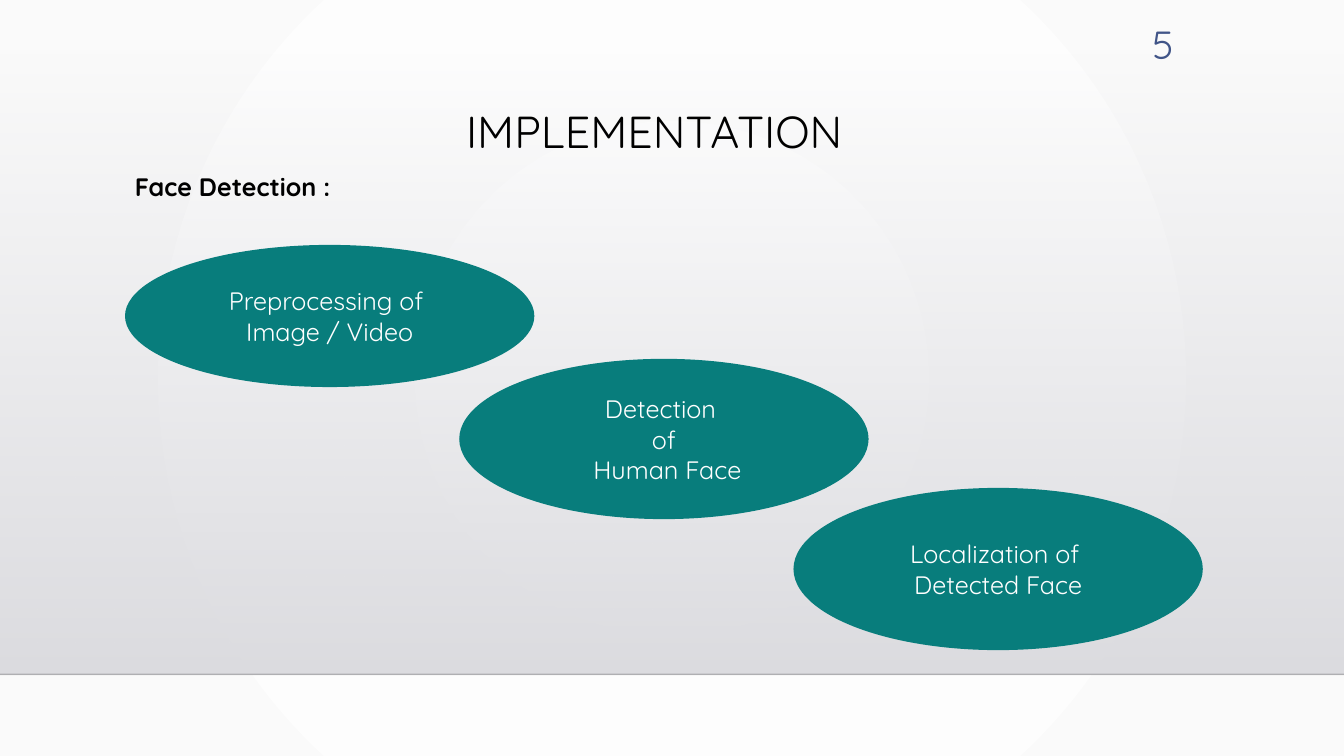
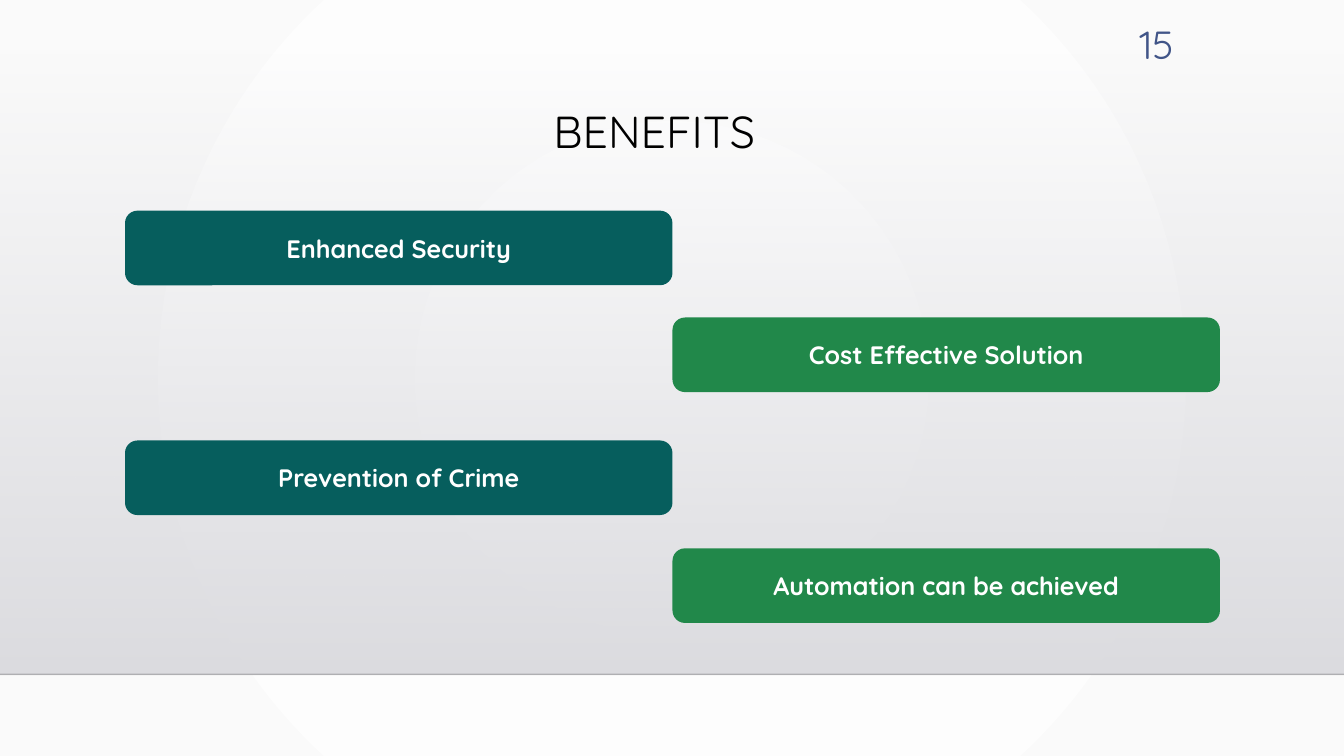
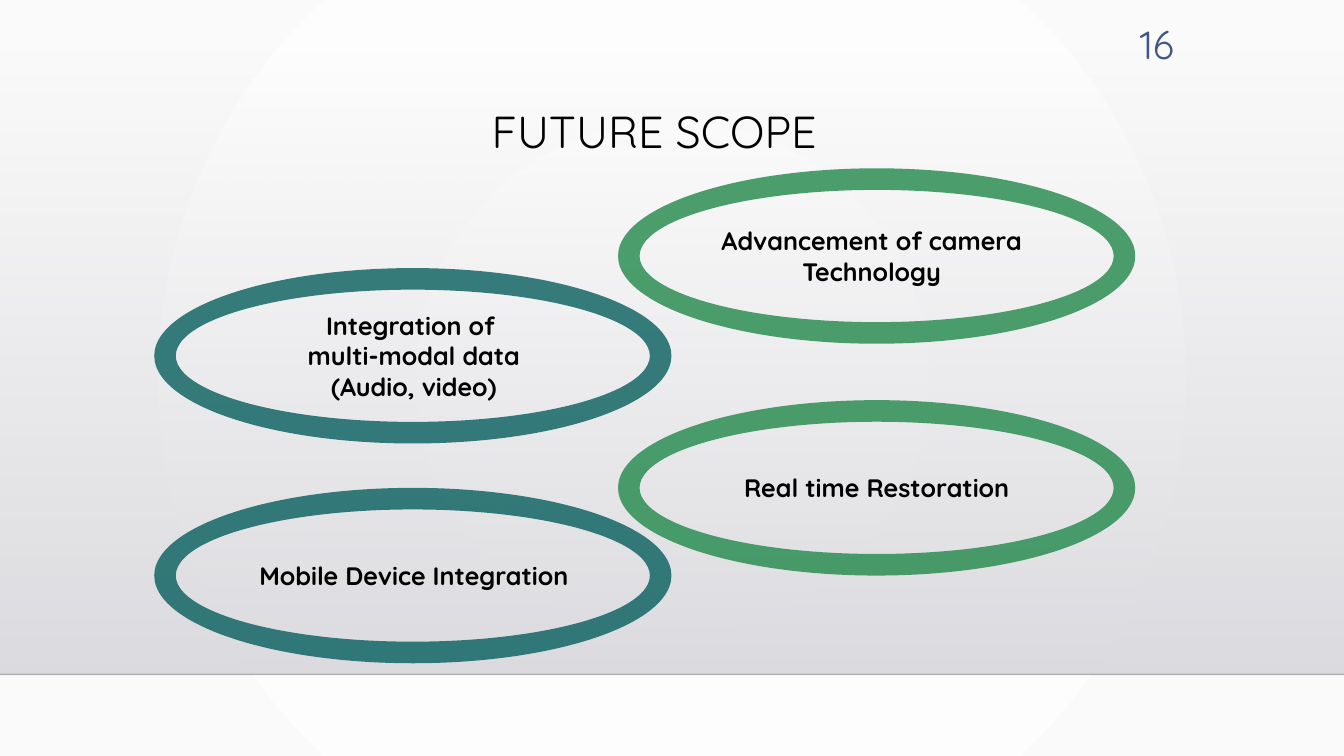
import dataclasses

import lxml.etree
import pptx
import pptx.dml.color
import pptx.enum.shapes
import pptx.enum.text
import pptx.oxml.ns
import pptx.presentation
import pptx.shapes.autoshape
import pptx.slide
import pptx.text.text
import pptx.util

Inches = pptx.util.Inches
RGBColor = pptx.dml.color.RGBColor
Kind = pptx.enum.shapes.MSO_SHAPE
Align = pptx.enum.text.PP_ALIGN
qn = pptx.oxml.ns.qn

FONT = "Quicksand"
BLACK = RGBColor(0x00, 0x00, 0x00)
WHITE = RGBColor(0xFF, 0xFF, 0xFF)
PALE = RGBColor(0xFA, 0xFA, 0xFA)
MIST = RGBColor(0xDC, 0xDC, 0xE0)
SILVER = RGBColor(0xDE, 0xDE, 0xE2)
NAVY = RGBColor(0x41, 0x55, 0x88)
TEAL = RGBColor(0x08, 0x7D, 0x7C)
DEEP = RGBColor(0x06, 0x5E, 0x5D)
GREEN = RGBColor(0x21, 0x88, 0x4A)

WIDTH = 13.33
HEIGHT = 7.5
MARGIN = 1.24
FLOOR = 6.69


@dataclasses.dataclass
class Box:
    left: float
    top: float
    width: float
    height: float

    def place(self) -> tuple:
        return tuple(Inches(n) for n in (self.left, self.top, self.width, self.height))


@dataclasses.dataclass
class Step:
    text: str
    top: float
    height: float


@dataclasses.dataclass
class Bar:
    text: str
    top: float


@dataclasses.dataclass
class Ring:
    box: Box
    color: RGBColor
    text: str
    label: Box


def write(frame: pptx.text.text.TextFrame, text: str, *, size: int = 18,
          color: RGBColor = BLACK, bold: bool = False,
          align: Align = Align.CENTER, space: float = 1.0) -> None:
    frame.word_wrap = True
    for index, line in enumerate(text.split("\n")):
        para = frame.add_paragraph() if index else frame.paragraphs[0]
        para.alignment = align
        para.line_spacing = space
        run = para.add_run()
        run.text = line
        run.font.name = FONT
        run.font.size = pptx.util.Pt(size)
        run.font.bold = bold
        run.font.color.rgb = color


def label(slide: pptx.slide.Slide, box: Box, text: str, **style) -> None:
    write(slide.shapes.add_textbox(*box.place()).text_frame, text, **style)


def draw(slide: pptx.slide.Slide, kind: Kind, box: Box,
         color: RGBColor) -> pptx.shapes.autoshape.Shape:
    shape = slide.shapes.add_shape(kind, *box.place())
    shape.shadow.inherit = False
    shape.fill.solid()
    shape.fill.fore_color.rgb = color
    shape.line.fill.background()
    return shape


def fade(node: lxml.etree.ElementBase, percent: int) -> None:
    color = next(node.iter(qn("a:srgbClr")))
    lxml.etree.SubElement(color, qn("a:alpha")).set("val", str(percent * 1000))


def paint(deck: pptx.presentation.Presentation) -> None:
    fill = deck.slide_master.background.fill
    fill.gradient()
    for stop, color in zip(fill.gradient_stops, (WHITE, PALE)):
        stop.color.rgb = color
    line = next(deck.slide_master.element.iter(qn("a:lin")))
    radial = lxml.etree.Element(qn("a:path"), {"path": "circle"})
    lxml.etree.SubElement(radial, qn("a:fillToRect"), dict.fromkeys("ltrb", "50000"))
    line.getparent().replace(line, radial)


def start(deck: pptx.presentation.Presentation, title: str, page: int,
          height: float = 1.15) -> pptx.slide.Slide:
    slide = deck.slides.add_slide(deck.slide_layouts[6])
    band = draw(slide, Kind.RECTANGLE, Box(0, 0.51, WIDTH, FLOOR - 0.51), SILVER)
    band.fill.gradient()
    band.fill.gradient_angle = 270
    for stop, color in zip(band.fill.gradient_stops, (MIST, SILVER)):
        stop.color.rgb = color
    fade(band.element.spPr, 0)

    edge = slide.shapes.add_connector(
        pptx.enum.shapes.MSO_CONNECTOR.STRAIGHT,
        Inches(0), Inches(FLOOR), Inches(WIDTH), Inches(FLOOR))
    edge.line.width = pptx.util.Pt(1)
    edge.line.color.rgb = BLACK
    fade(edge.element.spPr, 20)
    lxml.etree.SubElement(edge.element.spPr, qn("a:effectLst"))

    label(slide, Box(MARGIN, 1.04, 10.5, height), title, size=32, space=0.9)
    label(slide, Box(10.85, 0.15, 0.89, 0.55), str(page),
          size=28, color=NAVY, align=Align.RIGHT)
    return slide


def show_steps(deck: pptx.presentation.Presentation) -> None:
    slide = start(deck, "IMPLEMENTATION", 5, height=0.6)
    label(slide, Box(MARGIN, 1.65, 10.41, 0.4), "Face Detection :",
          bold=True, align=Align.LEFT)
    steps = [
        Step("Preprocessing of \nImage / Video", 2.43, 1.41),
        Step("Detection \nof\n Human Face", 3.56, 1.59),
        Step("Localization of \nDetected Face", 4.84, 1.61),
    ]
    for index, step in enumerate(steps):
        box = Box(MARGIN + 3.315 * index, step.top, 4.06, step.height)
        shape = draw(slide, Kind.OVAL, box, TEAL)
        write(shape.text_frame, step.text, color=WHITE)


def show_gains(deck: pptx.presentation.Presentation) -> None:
    slide = start(deck, "BENEFITS", 15)
    bars = [
        Bar("Enhanced Security", 2.09),
        Bar("Cost Effective Solution", 3.15),
        Bar("Prevention of Crime", 4.37),
        Bar("Automation can be achieved", 5.44),
    ]
    width = 5.43
    for index, bar in enumerate(bars):
        side = index % 2
        box = Box(MARGIN + width * side, bar.top, width, 0.74)
        shape = draw(slide, Kind.ROUNDED_RECTANGLE, box, (DEEP, GREEN)[side])
        write(shape.text_frame, bar.text, color=WHITE, bold=True)


def show_scope(deck: pptx.presentation.Presentation) -> None:
    slide = start(deck, "FUTURE SCOPE", 16)
    size = (5.13, 1.74)
    rings = [
        Ring(Box(1.53, 2.66, *size), DEEP,
             "Integration of \nmulti-modal data\n(Audio, video)",
             Box(2.4, 3.03, 3.41, 1.01)),
        Ring(Box(6.13, 1.67, *size), GREEN, "Advancement of camera Technology",
             Box(6.94, 2.19, 3.41, 0.71)),
        Ring(Box(1.53, 4.84, *size), DEEP, "Mobile Device Integration",
             Box(2.4, 5.51, 3.41, 0.4)),
        Ring(Box(6.13, 3.97, *size), GREEN, "Real time Restoration",
             Box(6.99, 4.64, 3.41, 0.4)),
    ]
    for ring in rings:
        shape = draw(slide, Kind.DONUT, ring.box, ring.color)
        shape.adjustments[0] = 0.123
        fade(shape.element.spPr, 80)
        label(slide, ring.label, ring.text, bold=True)


def main() -> None:
    deck = pptx.Presentation()
    deck.slide_width = Inches(WIDTH)
    deck.slide_height = Inches(HEIGHT)
    paint(deck)
    show_steps(deck)
    show_gains(deck)
    show_scope(deck)
    deck.save("out.pptx")


if __name__ == "__main__":
    main()
